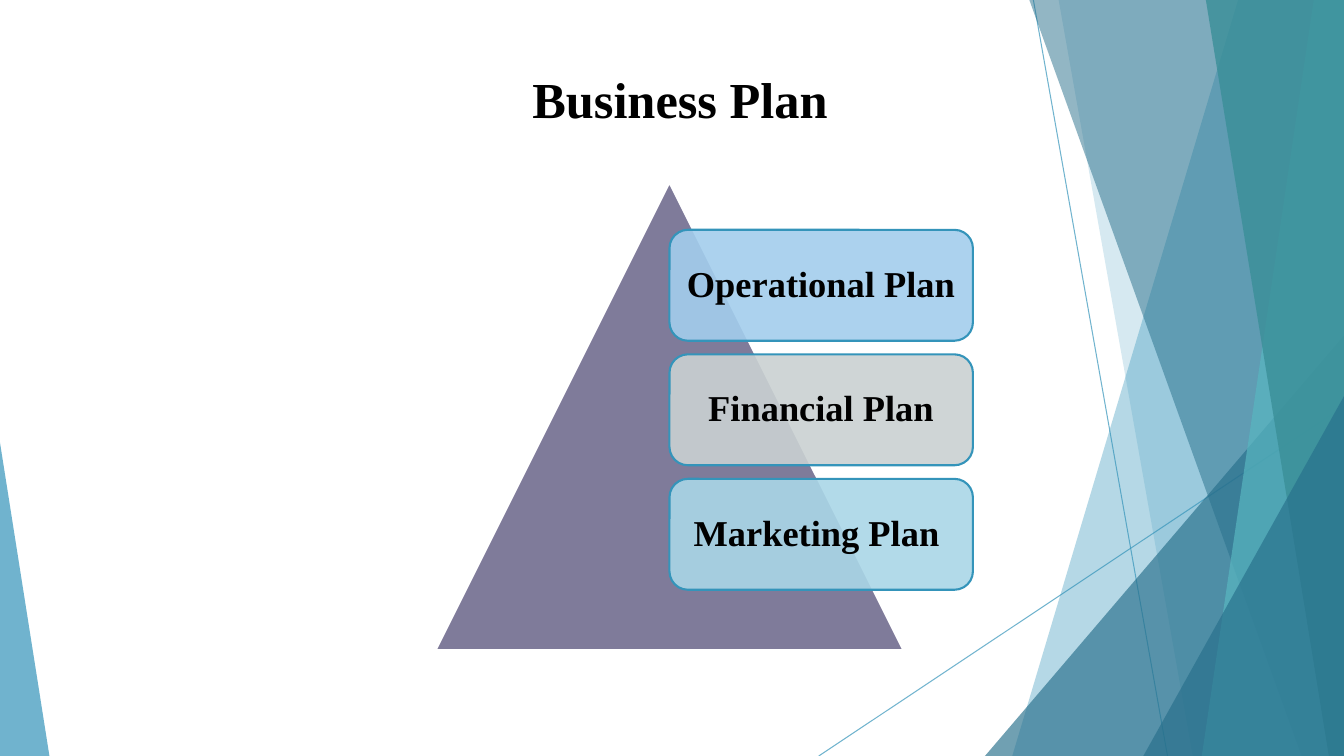
"""Build the Business Plan pyramid slide."""
from dataclasses import dataclass

from lxml.etree import SubElement
from pptx import Presentation
from pptx.dml.color import RGBColor
from pptx.enum.shapes import MSO_CONNECTOR, MSO_SHAPE
from pptx.enum.text import MSO_ANCHOR, PP_ALIGN
from pptx.oxml.ns import qn
from pptx.util import Inches, Pt

WIDTH, HEIGHT = Inches(13.33), Inches(7.5)


@dataclass(frozen=True)
class Theme:
    """Colours, font and type sizes of the slide."""
    font: str = "Times New Roman"
    title_size: int = 36
    card_size: int = 26
    text: str = "000000"
    white: str = "FFFFFF"
    accent: str = "3494BA"
    deep: str = "276F8B"
    aqua: str = "58B6C0"
    teal: str = "3A8F98"
    pyramid: str = "7F7B9A"
    operational: str = "A3CEED"
    financial: str = "CAD1D2"
    marketing: str = "AAD6E7"


THEME = Theme()


def col(share):
    """Return a percentage of the slide width."""
    return round(WIDTH * share / 100)


def row(share):
    """Return a percentage of the slide height."""
    return round(HEIGHT * share / 100)


def paint(fmt, color, opacity=100):
    """Apply a solid colour with an opacity in percent to a fill."""
    fmt.solid()
    fmt.fore_color.rgb = RGBColor.from_string(color)
    if opacity < 100:
        clr = fmt._xPr.find(qn("a:solidFill"))[0]
        SubElement(clr, qn("a:alpha")).set("val", str(opacity * 1000))


def style(sp, color, opacity=100, line=None):
    """Fill and outline a shape without a shadow."""
    sp.shadow.inherit = False
    paint(sp.fill, color, opacity)
    if line:
        paint(sp.line.fill, line)
        sp.line.width = Pt(1.5)
    else:
        sp.line.fill.background()


def write(p, text, size):
    """Add one bold centred run to a paragraph."""
    p.alignment = PP_ALIGN.CENTER
    r = p.add_run()
    r.text = text
    r.font.name, r.font.size, r.font.bold = THEME.font, Pt(size), True
    r.font.color.rgb = RGBColor.from_string(THEME.text)


def add_ray(slide, x1, y1, x2, y2):
    """Draw a thin translucent line."""
    ray = slide.shapes.add_connector(
        MSO_CONNECTOR.STRAIGHT, col(x1), row(y1), col(x2), row(y2))
    paint(ray.line.fill, THEME.accent, 70)
    ray.line.width = Pt(0.75)
    SubElement(ray._element.spPr, qn("a:effectLst"))


def add_facet(slide, top, bottom, color, opacity):
    """Draw a full-height facet reaching the right edge."""
    builder = slide.shapes.build_freeform(col(top), 0)
    builder.add_line_segments(
        [(WIDTH, 0), (WIDTH, HEIGHT), (col(bottom), HEIGHT)], close=True)
    style(builder.convert_to_shape(), color, opacity)


def add_corner(slide, left, top, width, apex, color, opacity):
    """Draw a triangle standing on the bottom edge."""
    sp = slide.shapes.add_shape(
        MSO_SHAPE.ISOSCELES_TRIANGLE, col(left), row(top), col(width), row(100 - top))
    sp.adjustments[0] = apex
    style(sp, color, opacity)


def add_backdrop(slide):
    """Draw the rays, facets and corners around the slide."""
    add_ray(slide, 76.89, 0, 86.87, 100)
    add_ray(slide, 100, 53.73, 60.92, 100)
    add_facet(slide, 92.12, 75.32, THEME.accent, 36)
    add_facet(slide, 78.77, 88.75, THEME.accent, 20)
    add_corner(slide, 73.29, 44.4, 26.71, 1, THEME.deep, 66)
    add_facet(slide, 76.59, 96.85, THEME.deep, 50)
    add_facet(slide, 97.75, 89.42, THEME.aqua, 70)
    add_facet(slide, 89.72, 98.87, THEME.teal, 80)
    add_corner(slide, 85.07, 52.4, 14.93, 1, THEME.deep, 66)
    add_corner(slide, 0, 58.53, 3.68, 0, THEME.accent, 70)


def add_title(slide, text):
    """Place and format the title placeholder."""
    title = slide.shapes.title
    title.left, title.top = col(5.63), row(8.4)
    title.width, title.height = col(89.95), row(17.2)
    title.text_frame.vertical_anchor = MSO_ANCHOR.TOP
    write(title.text_frame.paragraphs[0], text, THEME.title_size)


def add_pyramid(slide):
    """Draw the large triangle behind the cards."""
    sp = slide.shapes.add_shape(
        MSO_SHAPE.ISOSCELES_TRIANGLE, col(32.41), row(24.13), col(34.81), row(61.87))
    style(sp, THEME.pyramid, line=THEME.white)


def add_card(slide, index, text, color):
    """Draw one labelled card of the stack."""
    sp = slide.shapes.add_shape(
        MSO_SHAPE.ROUNDED_RECTANGLE,
        col(49.81), row(30.4 + 16.47 * index), col(22.58), row(14.67))
    style(sp, color, 90, THEME.accent)
    tf = sp.text_frame
    tf.word_wrap = True
    tf.vertical_anchor = MSO_ANCHOR.MIDDLE
    tf.margin_left = tf.margin_right = tf.margin_top = tf.margin_bottom = Inches(0.11)
    tf.paragraphs[0].line_spacing = 0.9
    write(tf.paragraphs[0], text, THEME.card_size)


def main():
    """Assemble and save the slide."""
    prs = Presentation()
    prs.slide_width, prs.slide_height = WIDTH, HEIGHT
    slide = prs.slides.add_slide(prs.slide_layouts[5])
    add_backdrop(slide)
    add_title(slide, "Business Plan")
    add_pyramid(slide)
    cards = (("Operational Plan", THEME.operational),
             ("Financial Plan", THEME.financial),
             ("Marketing Plan ", THEME.marketing))
    for index, (text, color) in enumerate(cards):
        add_card(slide, index, text, color)
    prs.save("out.pptx")


if __name__ == "__main__":
    main()
